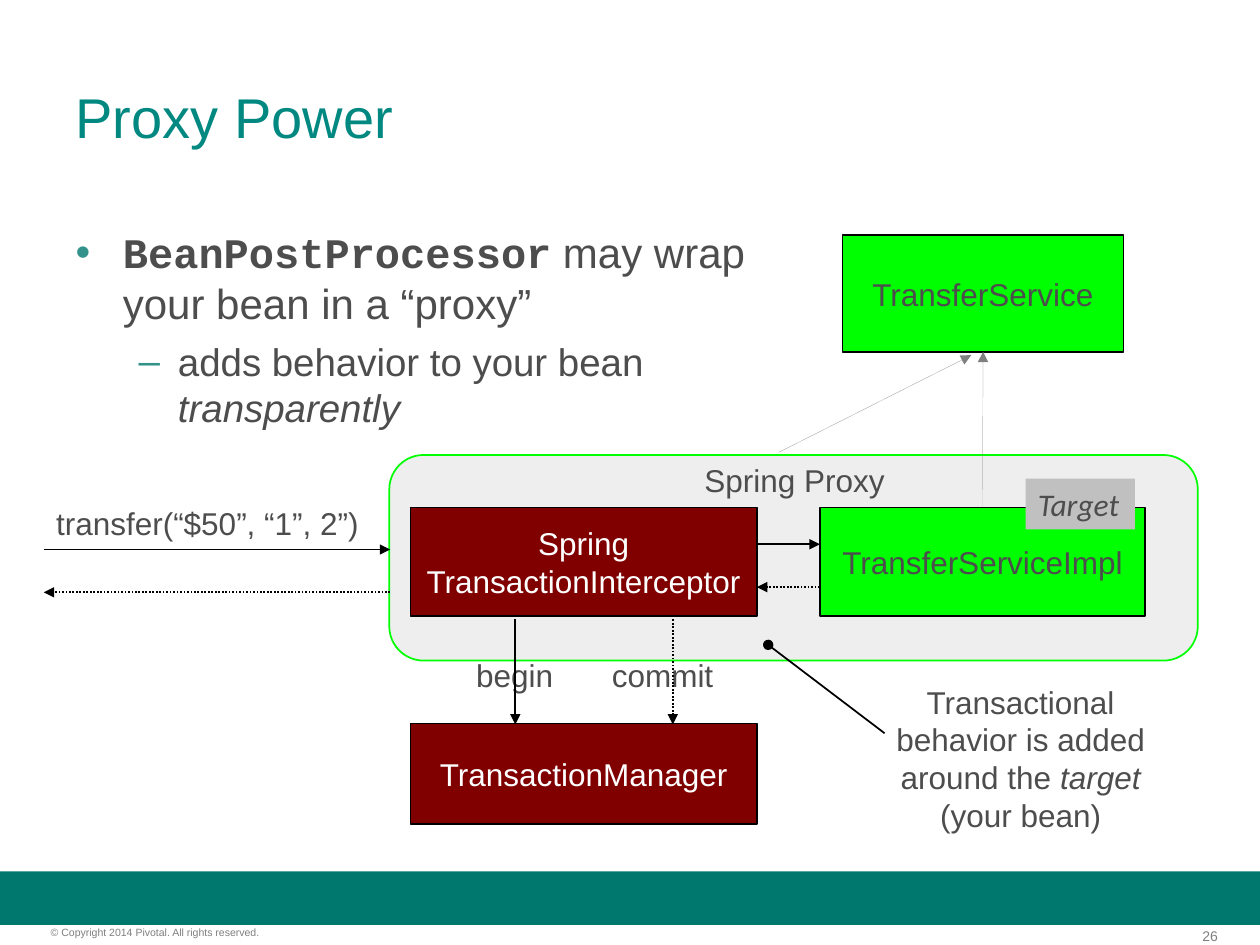
"""Build the Proxy Power slide: a bean wrapped in a transactional proxy."""
import pptx
import pptx.dml.color
import pptx.enum.dml
import pptx.enum.shapes
import pptx.enum.text
import pptx.oxml
import pptx.oxml.ns
import pptx.util

Pt = pptx.util.Pt
RGB = pptx.dml.color.RGBColor
SHAPE = pptx.enum.shapes.MSO_SHAPE
ALIGN = pptx.enum.text.PP_ALIGN
ANCHOR = pptx.enum.text.MSO_ANCHOR
NS = pptx.oxml.ns.nsdecls("a")

TEAL = RGB(0x00, 0x78, 0x6E)
TITLE = RGB(0x00, 0x88, 0x81)
TEXT = RGB(0x4D, 0x4D, 0x4D)
FOOTER = RGB(0x7F, 0x7F, 0x7F)
GREEN = RGB(0x00, 0xFF, 0x00)
MAROON = RGB(0x80, 0x00, 0x00)
PALE = RGB(0xEE, 0xEE, 0xEE)
SILVER = RGB(0xC0, 0xC0, 0xC0)
GRAY = RGB(0x80, 0x80, 0x80)
WHITE = RGB(0xFF, 0xFF, 0xFF)
BLACK = RGB(0x00, 0x00, 0x00)


def add_text(p, text, size=18, color=TEXT, font="Arial", bold=False, italic=False):
    r = p.add_run()
    r.text = text
    r.font.size = Pt(size)
    r.font.color.rgb = color
    r.font.name = font
    r.font.bold = bold
    r.font.italic = italic


def add_line(x1, y1, x2, y2, color=BLACK, width=1, dotted=False, end="triangle"):
    cx = s.shapes.add_connector(
        pptx.enum.shapes.MSO_CONNECTOR.STRAIGHT, Pt(x1), Pt(y1), Pt(x2), Pt(y2))
    cx.line.color.rgb = color
    cx.line.width = Pt(width)
    if dotted:
        cx.line.dash_style = pptx.enum.dml.MSO_LINE.ROUND_DOT
    cx.line._get_or_add_ln().append(
        pptx.oxml.parse_xml(f'<a:tailEnd {NS} type="{end}"/>'))
    cx._element.spPr.append(pptx.oxml.parse_xml(f"<a:effectLst {NS}/>"))
    return cx


prs = pptx.Presentation()
prs.slide_width, prs.slide_height = Pt(720), Pt(540)
s = prs.slides.add_slide(prs.slide_layouts[1])

title = s.shapes.title
title.left, title.top, title.width, title.height = Pt(36), Pt(21.6), Pt(648), Pt(90)
title.text_frame.vertical_anchor = ANCHOR.MIDDLE
p = title.text_frame.paragraphs[0]
p.alignment = ALIGN.LEFT
add_text(p, "Proxy Power", size=32, color=TITLE)

body = s.placeholders[1]
body.left, body.top, body.width, body.height = Pt(36), Pt(126), Pt(410.4), Pt(356.4)
tf = body.text_frame
tf.auto_size = pptx.enum.text.MSO_AUTO_SIZE.NONE
bullets = [
    (0, "•", 27, 27, 0, [
        ("BeanPostProcessor", dict(size=24, font="Courier New", bold=True)),
        (" may wrap your bean in a “proxy”", dict(size=24))]),
    (1, "–", 58.5, 22.5, 6, [
        ("adds behavior to your bean ", dict(size=22)),
        ("transparently", dict(size=22, italic=True))]),
]
for level, char, margin, hang, before, runs in bullets:
    p = tf.add_paragraph() if level else tf.paragraphs[0]
    p.level = level
    p.space_before = Pt(before)
    pPr = p._p.get_or_add_pPr()
    pPr.set("marL", str(Pt(margin)))
    pPr.set("indent", str(-Pt(hang)))
    pPr.append(pptx.oxml.parse_xml(
        f'<a:buClr {NS}><a:srgbClr val="33928A"/></a:buClr>'))
    pPr.append(pptx.oxml.parse_xml(f'<a:buChar {NS} char="{char}"/>'))
    for text, fmt in runs:
        add_text(p, text, **fmt)

white = dict(color=WHITE)
boxes = [
    ("bar", SHAPE.RECTANGLE, 0, 498, 720, 30.5, TEAL, None, []),
    ("proxy", SHAPE.ROUNDED_RECTANGLE, 222.5, 260, 462, 117.5, PALE, GREEN, []),
    ("impl", SHAPE.RECTANGLE, 468.5, 290, 186, 62, GREEN, BLACK,
     [[("TransferServiceImpl", {})]]),
    ("interceptor", SHAPE.RECTANGLE, 234.5, 290, 198, 62, MAROON, BLACK,
     [[("Spring", white)], [("TransactionInterceptor", white)]]),
    ("manager", SHAPE.RECTANGLE, 234.5, 413.5, 198, 57.5, MAROON, BLACK,
     [[("TransactionManager", white)]]),
    ("service", SHAPE.RECTANGLE, 481.5, 134.5, 160.5, 66.5, GREEN, BLACK,
     [[("TransferService", {})]]),
    ("note", SHAPE.RECTANGLE, 497.5, 386.5, 171.5, 93.5, WHITE, None,
     [[("Transactional behavior is added around the ", {}),
       ("target", dict(italic=True)), (" (your bean)", {})]]),
    ("target", SHAPE.RECTANGLE, 586, 273.5, 62.5, 29, SILVER, None,
     [[("Target", dict(font="Calibri", italic=True))]]),
]
shapes = {}
for name, kind, x, y, w, h, fill, line, paragraphs in boxes:
    sp = s.shapes.add_shape(kind, Pt(x), Pt(y), Pt(w), Pt(h))
    sp.shadow.inherit = False
    sp.fill.solid()
    sp.fill.fore_color.rgb = fill
    if line is None:
        sp.line.fill.background()
    else:
        sp.line.color.rgb = line
        sp.line.width = Pt(1)
    tf = sp.text_frame
    tf.word_wrap = True
    tf.vertical_anchor = ANCHOR.MIDDLE
    for i, runs in enumerate(paragraphs):
        p = tf.add_paragraph() if i else tf.paragraphs[0]
        p.alignment = ALIGN.CENTER
        for text, fmt in runs:
            add_text(p, text, **fmt)
    shapes[name] = sp
shapes["target"].text_frame.paragraphs[0].alignment = ALIGN.LEFT

labels = [
    ("transfer(“$50”, “1”, 2”)", 25, 284.5, 196, 29, ALIGN.LEFT, None, {}),
    ("begin", 265, 371.5, 66, 29, ALIGN.LEFT, None, {}),
    ("commit", 342.5, 371.5, 82, 29, ALIGN.LEFT, None, {}),
    ("Spring Proxy", 337, 260, 234, 29, ALIGN.CENTER, None, {}),
    ("26", 654, 530, 42, 9.5, ALIGN.RIGHT, 0, dict(size=8, color=FOOTER)),
    ("© Copyright 2014 Pivotal. All rights reserved.", 29, 529, 179, 7,
     ALIGN.LEFT, 0, dict(size=6, color=FOOTER)),
]
for text, x, y, w, h, align, inset, fmt in labels:
    tf = s.shapes.add_textbox(Pt(x), Pt(y), Pt(w), Pt(h)).text_frame
    tf.word_wrap = True
    if inset is not None:
        tf.margin_left = tf.margin_right = tf.margin_top = tf.margin_bottom = Pt(inset)
    tf.paragraphs[0].alignment = align
    add_text(tf.paragraphs[0], text, **fmt)

add_line(25, 314, 223, 314)
add_line(223, 338.5, 25, 338.5, dotted=True)
add_line(432.5, 311, 468.5, 311)
add_line(468.5, 335.5, 432.5, 335.5, dotted=True)
add_line(294.5, 354, 294.5, 414)
add_line(384.5, 354, 384.5, 414, dotted=True)
add_line(505.5, 419, 439, 368.5, end="oval")
add_line(445, 258.5, 555, 203, color=GRAY, width=0.1)
implements = add_line(561.5, 290, 562, 201, color=GRAY, width=0.1)
implements.begin_connect(shapes["impl"], 0)
implements.end_connect(shapes["service"], 2)

prs.save("out.pptx")
